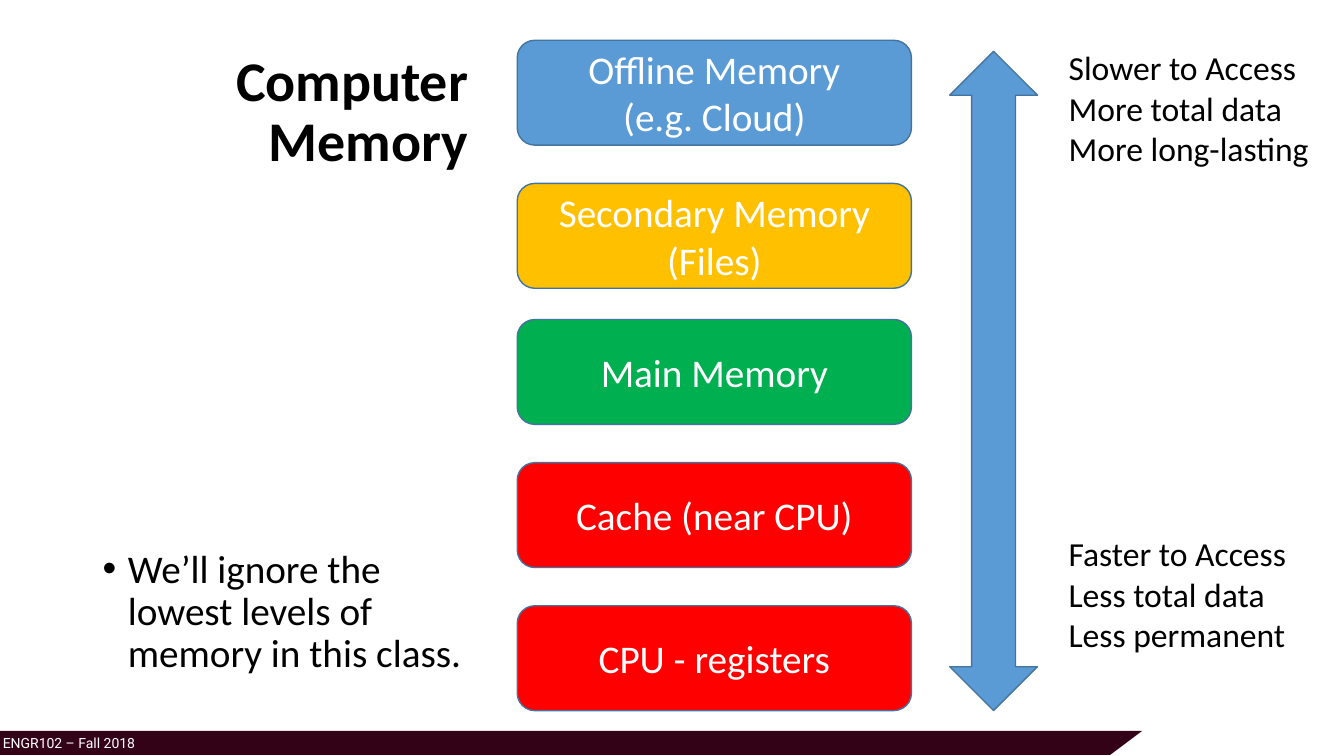
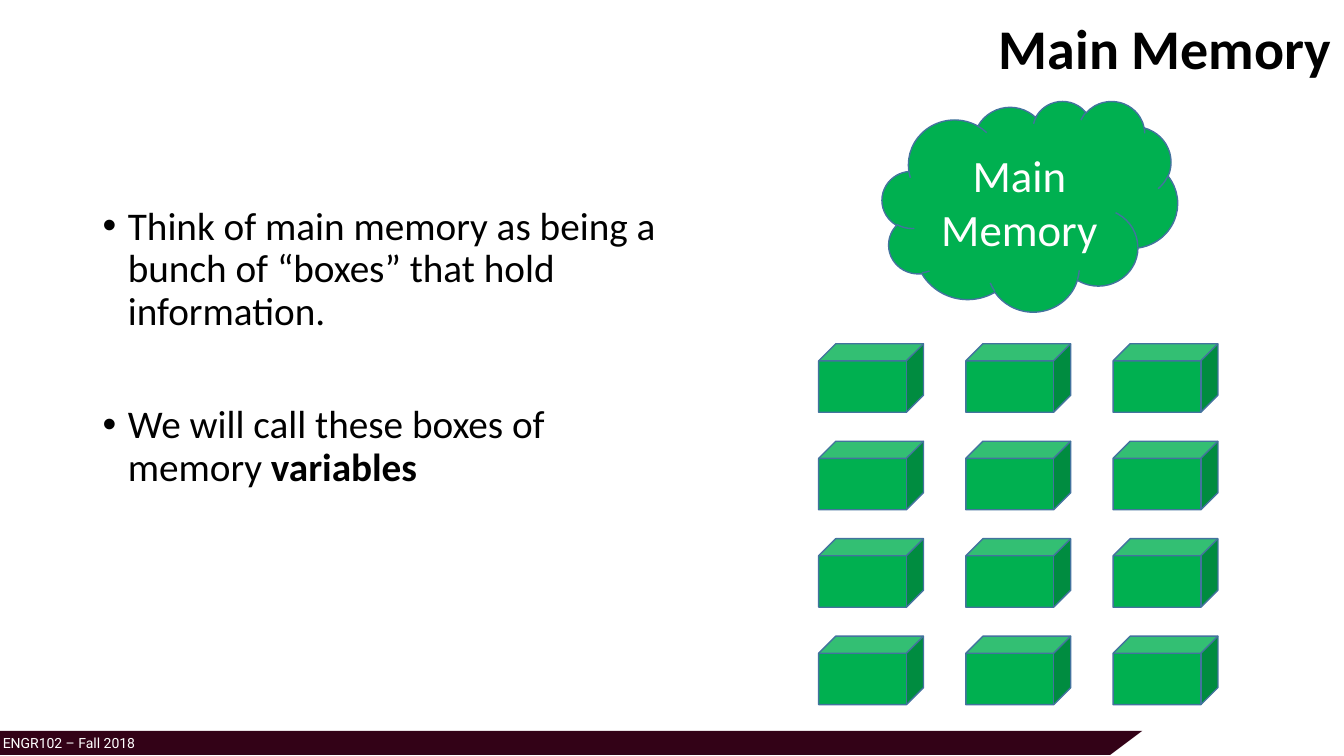
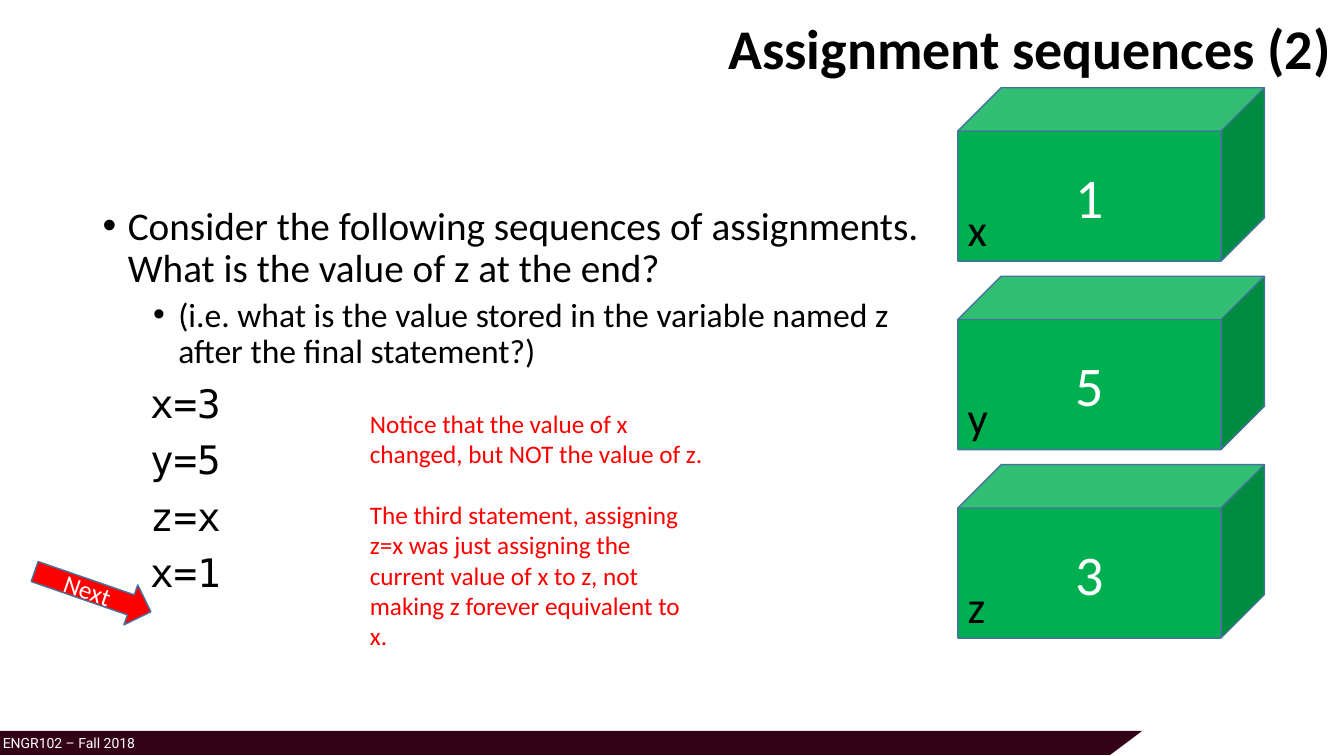
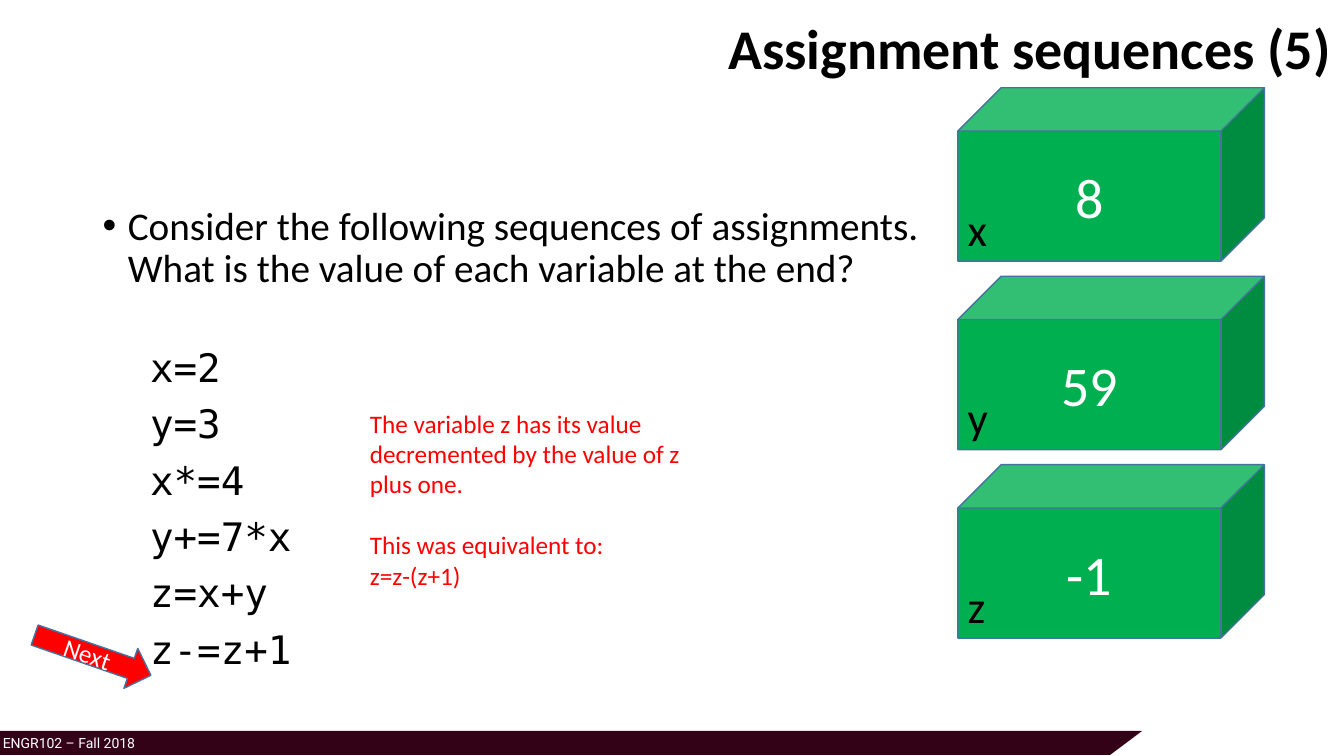
"""Build four slides on computer memory and variable assignment."""
from lxml.etree import SubElement
from pptx import Presentation
from pptx.dml.color import RGBColor
from pptx.enum.shapes import MSO_SHAPE
from pptx.enum.text import MSO_ANCHOR, PP_ALIGN
from pptx.oxml.ns import qn
from pptx.util import Inches, Pt

BLACK = RGBColor(0x00, 0x00, 0x00)
WHITE = RGBColor(0xFF, 0xFF, 0xFF)
MAROON = RGBColor(0x33, 0x02, 0x17)
BLUE = RGBColor(0x5B, 0x9B, 0xD5)
EDGE = RGBColor(0x43, 0x73, 0x9E)
GOLD = RGBColor(0xFF, 0xC0, 0x00)
GREEN = RGBColor(0x00, 0xB0, 0x50)
RED = RGBColor(0xFF, 0x00, 0x00)
MONO = "DejaVu Sans Mono"


def write(shape, text, size=28, color=BLACK, face="Calibri", bold=False,
          align=PP_ALIGN.LEFT, pitch=1.0, gap=0, left=0, dot=False, strong=""):
    """Add one paragraph, ending with an optional bold part."""
    frame = shape.text_frame
    para = frame.paragraphs[0]
    if para.runs:
        para = frame.add_paragraph()
    para.alignment = align
    para.line_spacing = pitch
    para.space_before = Pt(gap)
    props = para._p.get_or_add_pPr()
    props.set("marL", str(Inches(left)))
    props.set("indent", str(Inches(-0.25 if dot else 0)))
    if dot:
        SubElement(props, qn("a:buFont")).set("typeface", "Arial")
        SubElement(props, qn("a:buChar")).set("char", "•")
    for part, heavy in ((text, bold), (strong, True)):
        if part:
            run = para.add_run()
            run.text = part
            font = run.font
            font.name, font.size, font.bold = face, Pt(size), heavy
            font.color.rgb = color


def place(shapes, box, kind=None, fill=None, wrap=True):
    """Add a text box, or a filled shape if a kind is given."""
    spot = [Inches(n) for n in box]
    if kind is None:
        shape = shapes.add_textbox(*spot)
    else:
        shape = shapes.add_shape(kind, *spot)
        shape.shadow.inherit = False
        shape.fill.solid()
        shape.fill.fore_color.rgb = fill
        shape.line.color.rgb = EDGE
        shape.line.width = Pt(1)
    shape.text_frame.word_wrap = wrap
    return shape


deck = Presentation()
deck.slide_width, deck.slide_height = Inches(13.33), Inches(7.5)

WIDE = (5.97, 0, 7.33, 1.01)
HEADS = [
    ("Computer Memory", (0.92, 0.4, 3.82, 1.45)),
    ("Main Memory", WIDE),
    ("Assignment sequences (2)", WIDE),
    ("Assignment sequences (5)", WIDE),
]
pages = []
for head, box in HEADS:
    shapes = deck.slides.add_slide(deck.slide_layouts[6]).shapes
    pen = shapes.build_freeform(Inches(-0.01), Inches(7.25), scale=1.0)
    pen.add_line_segments([(Inches(x), Inches(y)) for x, y in
                           ((11.33, 7.25), (11.01, 7.49), (-0.02, 7.49))])
    band = pen.convert_to_shape()
    band.shadow.inherit = False
    band.fill.solid()
    band.fill.fore_color.rgb = MAROON
    band.line.fill.background()
    foot = place(shapes, (-0.07, 7.24, 7.5, 0.3))
    write(foot, "ENGR102 – Fall 2018", size=10, color=WHITE, face="Roboto")
    title = place(shapes, box)
    title.text_frame.vertical_anchor = MSO_ANCHOR.MIDDLE
    write(title, head, size=40, bold=True, align=PP_ALIGN.RIGHT, pitch=0.9)
    pages.append(shapes)

levels, boxes, *tasks = pages
BULLET = dict(pitch=0.9, left=0.25, dot=True)
LABEL = dict(color=WHITE, align=PP_ALIGN.CENTER)

body = place(levels, (0.92, 5.4, 3.82, 1.36))
write(body, "We’ll ignore the lowest levels of memory in this class.", **BULLET)
LEVELS = [
    (0.4, BLUE, ["Offline Memory", "(e.g. Cloud)"]),
    (1.82, GOLD, ["Secondary Memory (Files)"]),
    (3.17, GREEN, ["Main Memory"]),
    (4.59, RED, ["Cache (near CPU)"]),
    (6.01, RED, ["CPU - registers"]),
]
for top, fill, lines in LEVELS:
    level = place(levels, (5.13, top, 3.91, 1.04), MSO_SHAPE.ROUNDED_RECTANGLE, fill)
    for line in lines:
        write(level, line, **LABEL)
place(levels, (9.42, 0.51, 0.87, 6.54), MSO_SHAPE.UP_DOWN_ARROW, BLUE)
ENDS = [
    (0.42, 2.61, ["Slower to Access", "More total data", "More long-lasting"]),
    (5.24, 2.38, ["Faster to Access", "Less total data", "Less permanent"]),
]
for top, width, lines in ENDS:
    note = place(levels, (10.5, top, width, 1.31), wrap=False)
    for line in lines:
        write(note, line, size=24)

body = place(boxes, (0.92, 2, 5.79, 4.76))
write(body, "Think of main memory as being a bunch of “boxes” that hold information.", **BULLET)
write(body, "We will call these boxes of memory ", strong="variables", gap=51, **BULLET)
cloud = place(boxes, (8.75, 1, 2.93, 2.09), MSO_SHAPE.CLOUD, GREEN)
write(cloud, "Main Memory", size=32, **LABEL)
grid = boxes.add_group_shape().shapes
for row in range(4):
    for col in range(3):
        place(grid, (8.12 + 1.46 * col, 3.41 + 0.967 * row, 1.04, 0.68), MSO_SHAPE.CUBE, GREEN)

TASKS = [
    dict(
        ask="Consider the following sequences of assignments.  What is the value of z at the end?",
        hint="(i.e. what is the value stored in the variable named z after the final statement?)",
        code=["x=3", "y=5", "z=x", "x=1"], lead=10, next=5.66, values=["1", "5", "3"],
        notes=[("Notice that the value of x changed, but NOT the value of z.", 0),
               ("The third statement, assigning z=x was just assigning the current value "
                "of x to z, not making z forever equivalent to x.", 22)],
    ),
    dict(
        ask="Consider the following sequences of assignments.  "
            "What is the value of each variable at the end?",
        hint="",
        code=["x=2", "y=3", "x*=4", "y+=7*x", "z=x+y", "z-=z+1"],
        lead=41, next=6.29, values=["8", "59", "-1"],
        notes=[("The variable z has its value decremented by the value of z plus one.", 0),
               ("This was equivalent to:", 22), ("z=z-(z+1)", 0)],
    ),
]
for shapes, task in zip(tasks, TASKS):
    body = place(shapes, (0.92, 2, 8.38, 4.76))
    write(body, task["ask"], **BULLET)
    if task["hint"]:
        write(body, task["hint"], size=24, pitch=0.9, gap=5, left=0.75, dot=True)
    for i, line in enumerate(task["code"]):
        write(body, line, face=MONO, pitch=0.9, left=0.47, gap=10 if i else task["lead"])
    arrow = place(shapes, (0.31, task["next"], 1.22, 0.42), MSO_SHAPE.RIGHT_ARROW, RED)
    arrow.rotation = 19.1
    write(arrow, "Next", size=18, **LABEL)
    for i, (name, value) in enumerate(zip("xyz", task["values"])):
        top = 0.87 + 1.87 * i
        group = shapes.add_group_shape().shapes
        cube = place(group, (9.5, top, 3.04, 1.72), MSO_SHAPE.CUBE, GREEN)
        write(cube, value, size=40, **LABEL)
        tag = place(group, (9.5, top + 1.08, 0.4, 0.64), wrap=False)
        write(tag, name, size=32)
    note = place(shapes, (3.57, 4, 3.5, 2.83))
    for line, gap in task["notes"]:
        write(note, line, size=18, color=RED, gap=gap)

deck.save("out.pptx")
